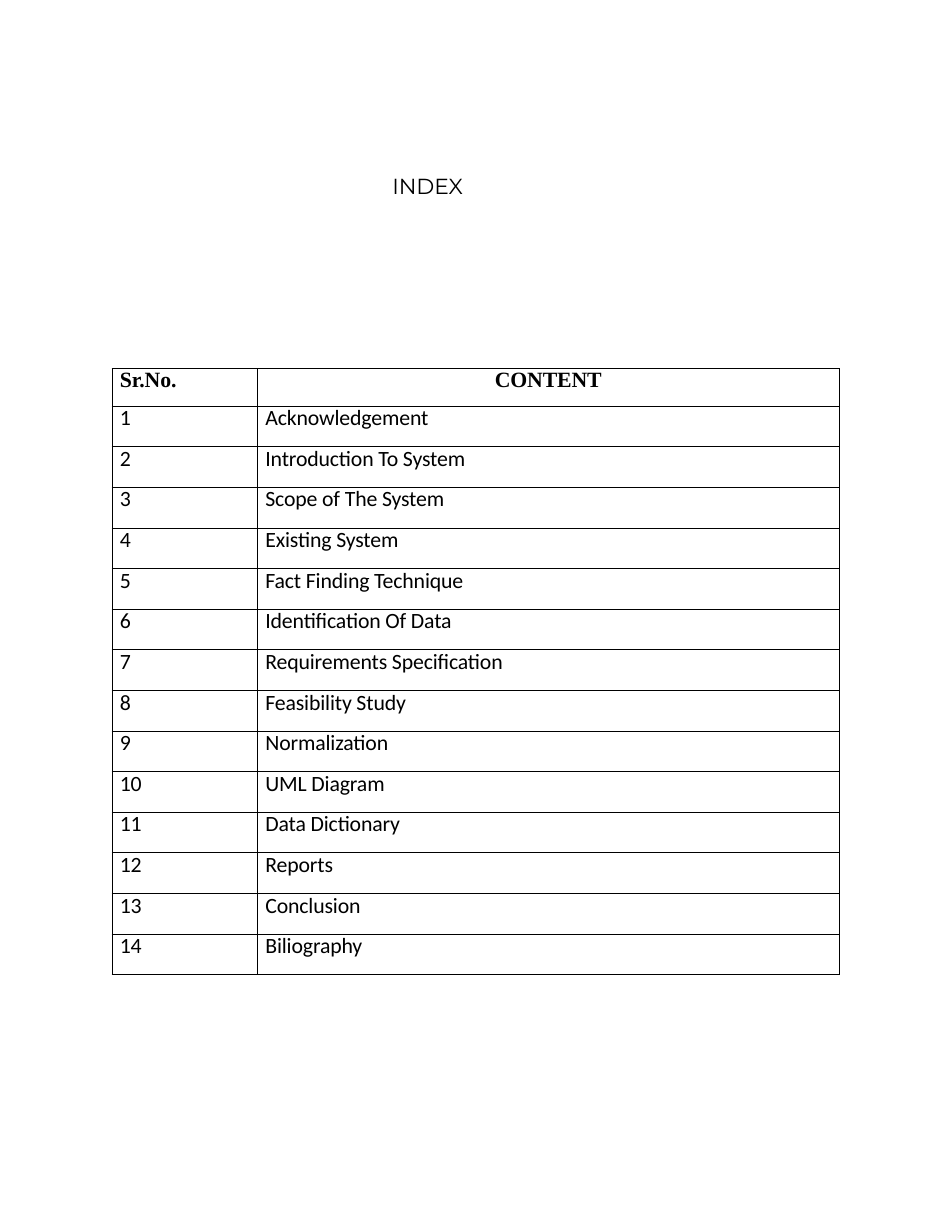
import dataclasses

import pptx
import pptx.dml.color
import pptx.enum.text
import pptx.oxml
import pptx.oxml.ns
import pptx.util


@dataclasses.dataclass(frozen=True)
class Theme:
    ink: str = "000000"
    paper: str = "FFFFFF"
    title_font: str = "Montserrat"
    heading_font: str = "Times New Roman"
    entry_font: str = "Calibri"
    text_size: float = 14
    rule_width: float = 0.5
    heading_leading: float = 15.1
    entry_leading: float = 16.4
    tracking: float = -0.1


@dataclasses.dataclass(frozen=True)
class Box:
    left: int
    top: int
    width: int
    height: int


THEME = Theme()
ENTRIES = [
    "Acknowledgement",
    "Introduction To System",
    "Scope of The System",
    "Existing System",
    "Fact Finding Technique",
    "Identification Of Data",
    "Requirements Specification",
    "Feasibility Study",
    "Normalization",
    "UML Diagram",
    "Data Dictionary",
    "Reports",
    "Conclusion",
    "Biliography",
]
NUMBER_SHARE = 0.2
HEADING_ROW_SHARE = 0.062
INDENT_SHARE = 0.011


def style_text(paragraph, font_name, bold=False, tracking=THEME.tracking):
    for run in paragraph.runs:
        run.font.name = font_name
        run.font.size = pptx.util.Pt(THEME.text_size)
        run.font.bold = bold
        run.font.color.rgb = pptx.dml.color.RGBColor.from_string(THEME.ink)
        run.font._element.set("spc", str(round(tracking * 100)))


def indent(paragraph, length):
    paragraph._p.get_or_add_pPr().set("marL", str(round(length)))


def rule_cell(cell):
    cell.fill.background()
    properties = cell._tc.get_or_add_tcPr()
    width = pptx.util.Pt(THEME.rule_width)
    for position, side in enumerate(("lnL", "lnR", "lnT", "lnB")):
        rule = pptx.oxml.parse_xml(
            f'<a:{side} {pptx.oxml.ns.nsdecls("a")} w="{width}">'
            f'<a:solidFill><a:srgbClr val="{THEME.ink}"/></a:solidFill>'
            f'<a:prstDash val="solid"/></a:{side}>'
        )
        properties.insert(position, rule)


def fill_cell(cell, text, leading):
    cell.margin_left = cell.margin_right = cell.margin_top = cell.margin_bottom = 0
    cell.text_frame.text = text
    rule_cell(cell)
    paragraph = cell.text_frame.paragraphs[0]
    paragraph.line_spacing = pptx.util.Pt(leading)
    return paragraph


def add_title(slide, box):
    title = slide.shapes.add_textbox(box.left, box.top, box.width, box.height)
    frame = title.text_frame
    frame.margin_left = frame.margin_right = frame.margin_bottom = 0
    frame.margin_top = pptx.util.Pt(1)
    frame.word_wrap = True
    frame.text = "INDEX"
    paragraph = frame.paragraphs[0]
    paragraph.space_before = pptx.util.Pt(1)
    indent(paragraph, pptx.util.Pt(1))
    style_text(paragraph, THEME.title_font)


def add_index(slide, box):
    index = slide.shapes.add_table(
        len(ENTRIES) + 1, 2, box.left, box.top, box.width, box.height
    ).table
    index.first_row = index.horz_banding = False

    index.columns[0].width = round(box.width * NUMBER_SHARE)
    index.columns[1].width = box.width - index.columns[0].width
    heading_height = round(box.height * HEADING_ROW_SHARE)
    entry_height = round((box.height - heading_height) / len(ENTRIES))
    for row in index.rows:
        row.height = entry_height
    index.rows[0].height = heading_height

    text_indent = box.width * INDENT_SHARE
    for column, heading in enumerate(("Sr.No.", "CONTENT")):
        paragraph = fill_cell(index.cell(0, column), heading, THEME.heading_leading)
        style_text(paragraph, THEME.heading_font, bold=True)
        if column == 0:
            indent(paragraph, text_indent)
        else:
            paragraph.alignment = pptx.enum.text.PP_ALIGN.CENTER

    for number, entry in enumerate(ENTRIES, start=1):
        number_tracking = -0.5 if number < 10 else -0.2
        cells = ((str(number), number_tracking), (entry, THEME.tracking))
        for column, (text, tracking) in enumerate(cells):
            paragraph = fill_cell(
                index.cell(number, column), text, THEME.entry_leading
            )
            indent(paragraph, text_indent)
            style_text(paragraph, THEME.entry_font, tracking=tracking)


def main():
    deck = pptx.Presentation()
    deck.slide_width = pptx.util.Inches(8.5)
    deck.slide_height = pptx.util.Inches(11)
    slide = deck.slides.add_slide(deck.slide_layouts[6])
    slide.background.fill.solid()
    slide.background.fill.fore_color.rgb = pptx.dml.color.RGBColor.from_string(
        THEME.paper
    )

    def share(left, top, width, height):
        return Box(
            round(deck.slide_width * left / 100),
            round(deck.slide_height * top / 100),
            round(deck.slide_width * width / 100),
            round(deck.slide_height * height / 100),
        )

    add_title(slide, share(41.06, 13.91, 8.35, 2.36))
    add_index(slide, share(11.76, 29.91, 76.4, 49.23))
    deck.save("out.pptx")


if __name__ == "__main__":
    main()
